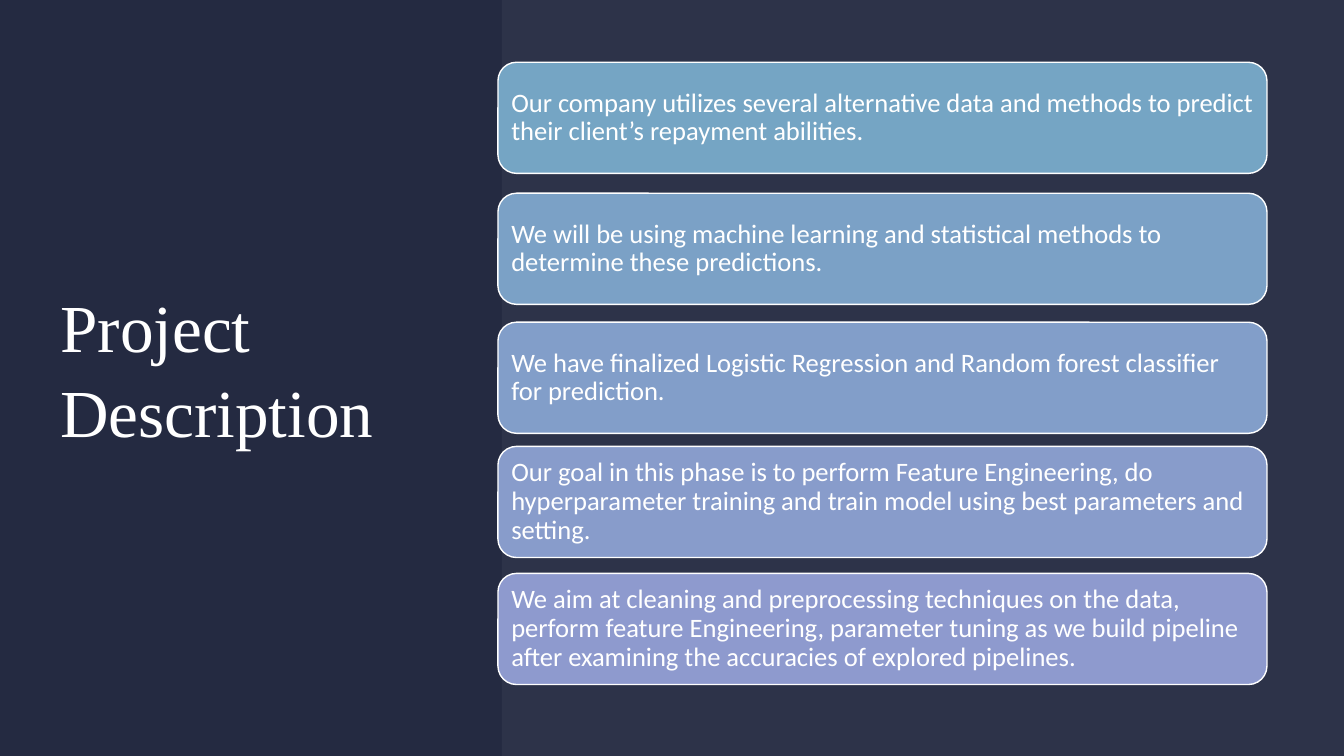
from dataclasses import dataclass

import pptx
import pptx.dml.color
import pptx.enum.shapes
import pptx.enum.text
import pptx.oxml
import pptx.oxml.ns
import pptx.util

Cm = pptx.util.Cm
Pt = pptx.util.Pt
RGBColor = pptx.dml.color.RGBColor
MSO_SHAPE = pptx.enum.shapes.MSO_SHAPE

NAVY = RGBColor(0x24, 0x2A, 0x41)
MIST = RGBColor(0xE5, 0xE7, 0xF0)
WHITE = RGBColor(0xFF, 0xFF, 0xFF)
SLIDE_W, SLIDE_H = Cm(33.87), Cm(19.05)
PANEL_LEFT = Cm(12.65)
CARD_LEFT, CARD_W, CARD_H = Cm(12.55), Cm(19.38), Cm(2.8)


@dataclass
class Card:
    top: float
    color: RGBColor
    text: str


CARDS = [
    Card(1.57, RGBColor(0x75, 0xA5, 0xC4),
         "Our company utilizes several alternative data and methods to predict "
         "their client’s repayment abilities."),
    Card(4.87, RGBColor(0x7B, 0xA1, 0xC6),
         "We will be using machine learning and statistical methods to "
         "determine these predictions."),
    Card(8.12, RGBColor(0x82, 0x9E, 0xC9),
         "We have finalized Logistic Regression and Random forest classifier "
         "for prediction."),
    Card(11.25, RGBColor(0x88, 0x9C, 0xCB),
         "Our goal in this phase is to perform Feature Engineering, do "
         "hyperparameter training and train model using best parameters and setting."),
    Card(14.45, RGBColor(0x8E, 0x9A, 0xCE),
         "We aim at cleaning and preprocessing techniques on the data, perform "
         "feature Engineering, parameter tuning as we build pipeline after "
         "examining the accuracies of explored pipelines."),
]


def set_text(sp, text: str, *, font: str, size: float, spacing: float, inset: float) -> None:
    tf = sp.text_frame
    tf.word_wrap = True
    tf.auto_size = pptx.enum.text.MSO_AUTO_SIZE.NONE
    tf.vertical_anchor = pptx.enum.text.MSO_ANCHOR.MIDDLE
    tf.margin_left = tf.margin_top = tf.margin_right = tf.margin_bottom = Cm(inset)
    p = tf.paragraphs[0]
    p.alignment = pptx.enum.text.PP_ALIGN.LEFT
    p.line_spacing = spacing
    r = p.add_run()
    r.text = text
    r.font.name = font
    r.font.size = Pt(size)
    r.font.color.rgb = WHITE


def add_panel(s) -> None:
    sp = s.shapes.add_shape(MSO_SHAPE.RECTANGLE, PANEL_LEFT, 0, SLIDE_W - PANEL_LEFT, SLIDE_H)
    sp.shadow.inherit = False
    sp.line.fill.background()
    sp.fill.solid()
    sp.fill.fore_color.rgb = MIST
    color = sp.fill._xPr.find(".//" + pptx.oxml.ns.qn("a:srgbClr"))
    color.append(pptx.oxml.parse_xml(
        f'<a:alpha {pptx.oxml.ns.nsdecls("a")} val="5000"/>'))


def add_card(s, card: Card) -> None:
    sp = s.shapes.add_shape(
        MSO_SHAPE.ROUNDED_RECTANGLE, CARD_LEFT, Cm(card.top), CARD_W, CARD_H)
    sp.shadow.inherit = False
    sp.fill.solid()
    sp.fill.fore_color.rgb = card.color
    sp.line.color.rgb = WHITE
    sp.line.width = Pt(1)
    set_text(sp, card.text, font="Calibri", size=19, spacing=0.9, inset=0.2)


def main() -> None:
    prs = pptx.Presentation()
    prs.slide_width, prs.slide_height = SLIDE_W, SLIDE_H
    s = prs.slides.add_slide(prs.slide_layouts[5])
    s.background.fill.solid()
    s.background.fill.fore_color.rgb = NAVY

    title = s.shapes.title
    title.left, title.top, title.width, title.height = Cm(1.52), Cm(1.52), Cm(9.9), Cm(15.4)
    set_text(title, "Project Description", font="Times New Roman",
             size=48, spacing=1.05, inset=0)

    add_panel(s)
    for card in CARDS:
        add_card(s, card)
    prs.save("out.pptx")


if __name__ == "__main__":
    main()
